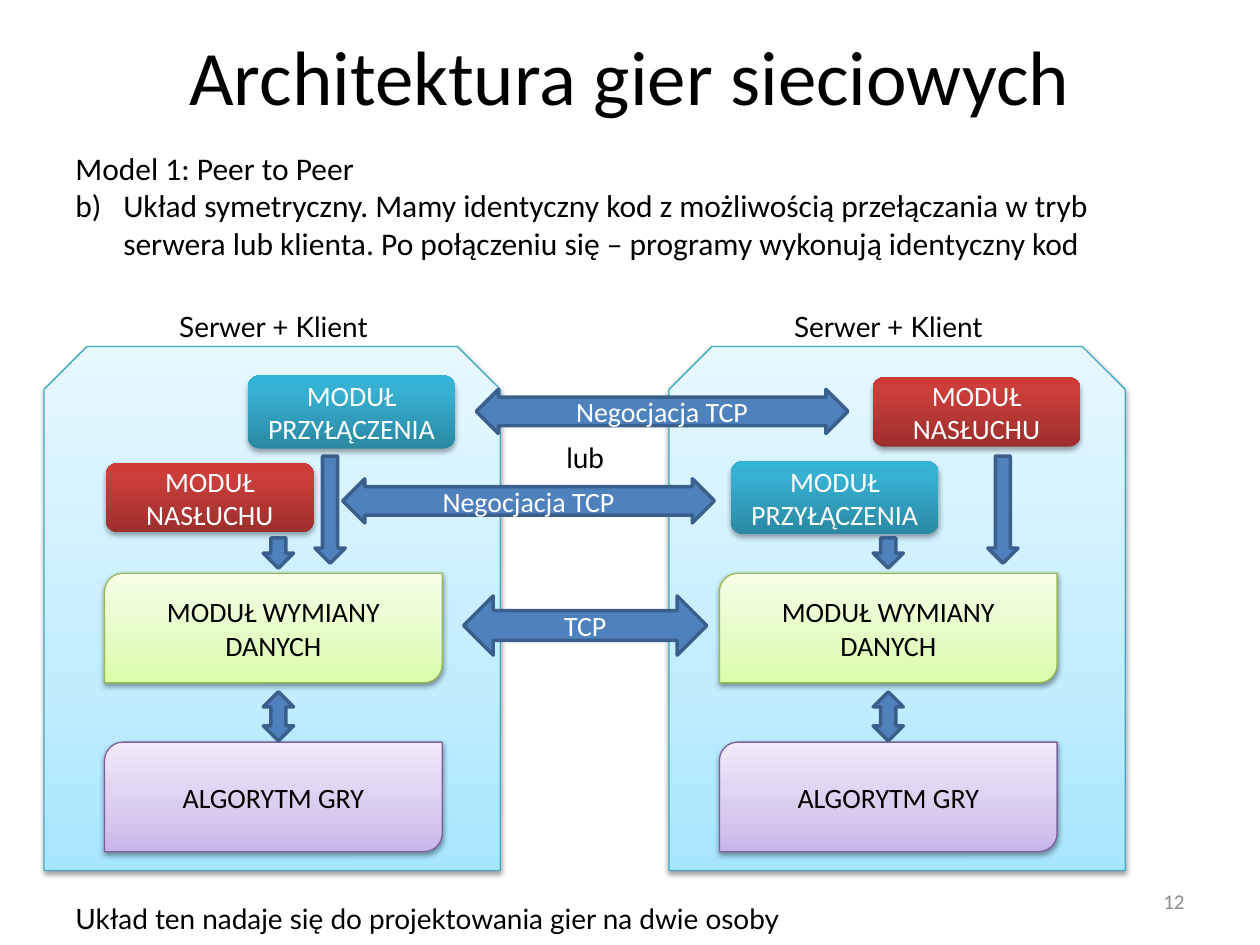
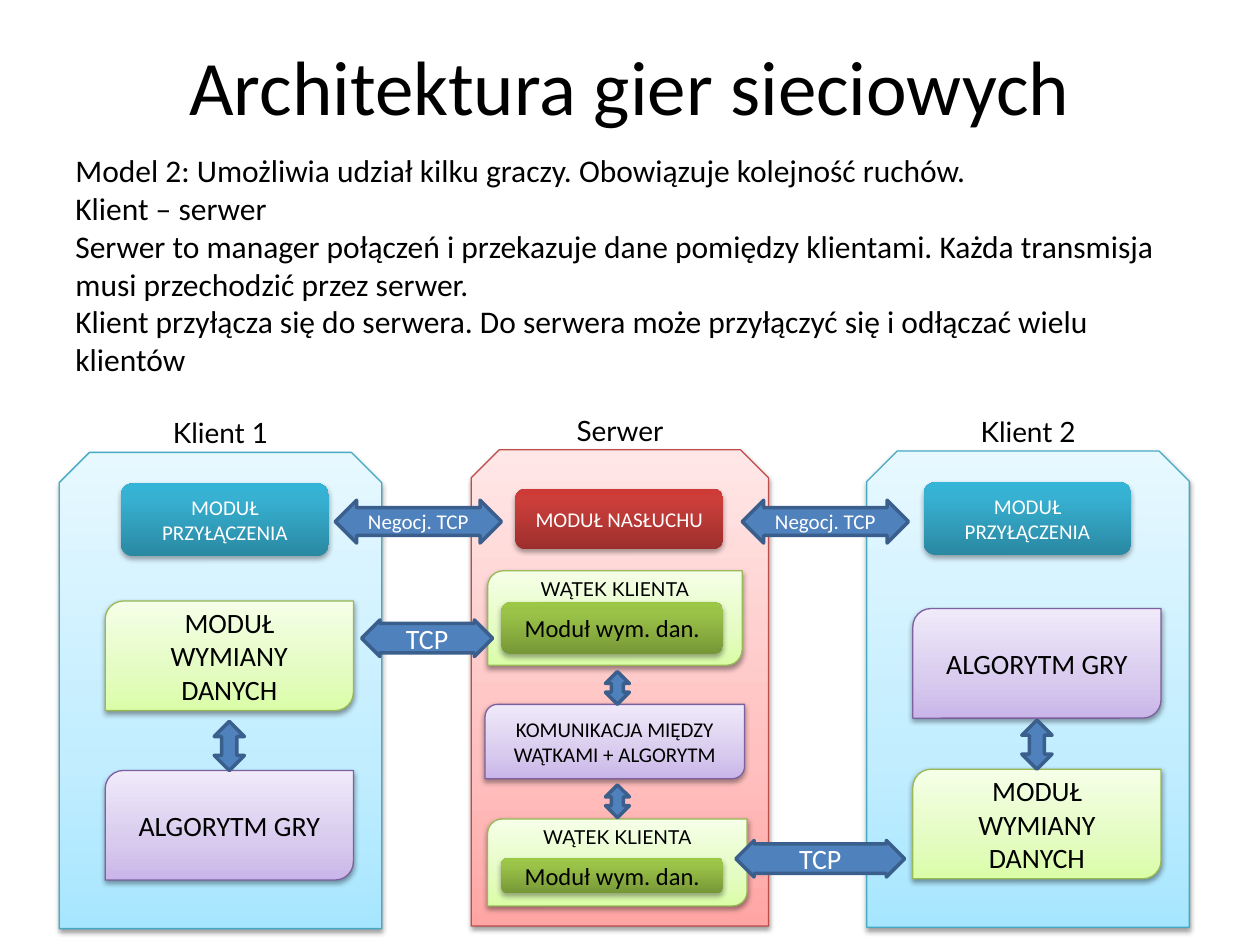
from collections import namedtuple
from dataclasses import dataclass

import pptx
import pptx.util
from lxml import etree
from pptx.dml.color import RGBColor
from pptx.enum.shapes import MSO_SHAPE
from pptx.enum.text import MSO_ANCHOR, PP_ALIGN
from pptx.oxml.ns import qn

# Grid: 100 columns by 75 rows on a 10 x 7.5 inch slide
COLUMNS, ROWS = 100, 75
CELL = pptx.util.Inches(10) // COLUMNS

Skin = namedtuple("Skin", "stops line text shadow")
Shadow = namedtuple("Shadow", "distance alpha")
SOFT = Shadow(1.6, 38)
RAISED = Shadow(1.8, 35)


def pale(low, middle, high, line):
    return Skin([(0, low), (35, middle), (100, high)], line, "000000", SOFT)


def strong(low, middle, high, text="FFFFFF"):
    return Skin([(0, low), (80, middle), (100, high)], None, text, RAISED)


@dataclass(frozen=True)
class Theme:
    heading_font: str = "Calibri"
    caption_font: str = "Lato"
    ink: str = "000000"
    muted: str = "8C8C8C"
    arrow: str = "4F81BD"
    arrow_line: str = "3A5F8C"
    arrow_text: str = "FFFFFF"
    title: int = 44
    body: int = 18
    label: int = 16
    medium: int = 14
    small: int = 12
    tiny: int = 11
    blue: Skin = pale("A7E6FF", "C1EDFF", "E7F8FF", "46AAC5")
    pink: Skin = pale("FFA6A5", "FFC0BF", "FFE7E7", "BF4C48")
    lime: Skin = pale("DAFDA7", "E4FCC2", "F5FFE7", "98B955")
    violet: Skin = pale("C9B5E8", "D8CBEE", "F0EAF9", "7D60A0")
    red: Skin = strong("9C2F2D", "CB3E3A", "CE3B37")
    teal: Skin = strong("2A88A2", "37B1D2", "34B4D6")
    green: Skin = strong("779737", "9BC348", "9DC746", "000000")


THEME = Theme()


@dataclass(frozen=True)
class Box:
    left: float
    top: float
    width: float
    height: float

    def inner(self, left, top, width, height):
        return Box(self.left + left, self.top + top, width, height)

    def emu(self):
        return [round(n * CELL) for n in (self.left, self.top, self.width, self.height)]


# Module name, skin and height in rows
Module = namedtuple("Module", "name skin height")
CONNECT = Module("MODUŁ PRZYŁĄCZENIA", THEME.teal, 5.8)
LISTEN = Module("MODUŁ NASŁUCHU", THEME.red, 5.5)
EXCHANGE = Module("MODUŁ WYMIANY DANYCH", THEME.lime, 8.7)
ALGORITHM = Module("ALGORYTM GRY", THEME.violet, 8.7)
MODULE_WIDTH = 16.5
LINK_WIDTH = 2.4
LABEL_WIDTH, LABEL_HEIGHT = 18.9, 3.4
NEGOTIATION = (0.646, 0.5)
TRANSFER = (0.807, 0.5)


# Text
def write(frame, lines, size, color, font, align=PP_ALIGN.CENTER, anchor=MSO_ANCHOR.MIDDLE):
    frame.word_wrap = True
    frame.vertical_anchor = anchor
    for index, line in enumerate(lines):
        paragraph = frame.paragraphs[0] if index == 0 else frame.add_paragraph()
        paragraph.text = line
        paragraph.alignment = align
        paragraph.font.size = pptx.util.Pt(size)
        paragraph.font.name = font
        paragraph.font.color.rgb = RGBColor.from_string(color)


def text(slide, box, lines, size=THEME.label, color=THEME.ink, font=THEME.caption_font,
         align=PP_ALIGN.CENTER, anchor=MSO_ANCHOR.TOP):
    frame = slide.shapes.add_textbox(*box.emu()).text_frame
    write(frame, lines, size, color, font, align, anchor)
    return frame


def number_paragraph(paragraph, start):
    properties = paragraph._p.get_or_add_pPr()
    indent = pptx.util.Inches(0.38)
    properties.set("marL", str(indent))
    properties.set("indent", str(-indent))
    numbering = etree.Element(qn("a:buAutoNum"), type="alphaLcParenR", startAt=str(start))
    properties.insert(0, numbering)


# Shapes
def add_color(parent, color):
    return etree.SubElement(parent, qn("a:srgbClr"), val=color)


def paint(shape, skin):
    shape.fill.gradient()
    shape.fill.gradient_angle = 90
    properties = shape._element.spPr
    stops = properties.find(".//" + qn("a:gsLst"))
    for stop in list(stops):
        stops.remove(stop)
    for position, color in skin.stops:
        add_color(etree.SubElement(stops, qn("a:gs"), pos=str(position * 1000)), color)
    if skin.line:
        shape.line.color.rgb = RGBColor.from_string(skin.line)
        shape.line.width = pptx.util.Pt(0.75)
    else:
        shape.line.fill.background()
    shape.shadow.inherit = False
    shadow = etree.SubElement(
        properties.find(qn("a:effectLst")), qn("a:outerShdw"),
        blurRad=str(pptx.util.Pt(3.1)), dist=str(pptx.util.Pt(skin.shadow.distance)),
        dir="5400000", rotWithShape="0")
    etree.SubElement(add_color(shadow, "000000"), qn("a:alpha"),
                     val=str(skin.shadow.alpha * 1000))


def block(slide, kind, box, skin, caption=None, size=THEME.label):
    shape = slide.shapes.add_shape(kind, *box.emu())
    paint(shape, skin)
    if caption:
        write(shape.text_frame, [caption], size, skin.text, THEME.heading_font)
    return shape


def rounded(slide, box, skin, caption, size=THEME.label):
    block(slide, MSO_SHAPE.ROUNDED_RECTANGLE, box, skin, caption, size)


def leaf(slide, box, skin, caption=None, size=THEME.label):
    block(slide, MSO_SHAPE.ROUND_2_DIAG_RECTANGLE, box, skin, caption, size)


def arrow(slide, kind, box, caption=None, size=THEME.label, proportions=()):
    shape = slide.shapes.add_shape(kind, *box.emu())
    for index, value in enumerate(proportions):
        shape.adjustments[index] = value
    shape.fill.solid()
    shape.fill.fore_color.rgb = RGBColor.from_string(THEME.arrow)
    shape.line.color.rgb = RGBColor.from_string(THEME.arrow_line)
    shape.line.width = pptx.util.Pt(2)
    shape.shadow.inherit = False
    if caption:
        write(shape.text_frame, [caption], size, THEME.arrow_text, THEME.heading_font)


def down(slide, box):
    arrow(slide, MSO_SHAPE.DOWN_ARROW, box)


def up_down(slide, box):
    arrow(slide, MSO_SHAPE.UP_DOWN_ARROW, box)


def across(slide, box, caption, size=THEME.label, proportions=()):
    arrow(slide, MSO_SHAPE.LEFT_RIGHT_ARROW, box, caption, size, proportions)


# Regions
def header(slide, title_height, body_box, lines):
    text(slide, Box(5, 0.5, 90, title_height), ["Architektura gier sieciowych"],
         THEME.title, font=THEME.heading_font, anchor=MSO_ANCHOR.MIDDLE)
    return text(slide, body_box, lines, THEME.body, font=THEME.heading_font,
                align=PP_ALIGN.LEFT)


def panel(slide, box, skin, name, label_center):
    outline = block(slide, MSO_SHAPE.SNIP_2_SAME_RECTANGLE, box, skin)
    outline.adjustments[0] = 0.094
    text(slide, box.inner(label_center - LABEL_WIDTH / 2, -LABEL_HEIGHT,
                          LABEL_WIDTH, LABEL_HEIGHT), [name])


def peer(slide, box, upper, lower, stack_left, link_left, long_link_left):
    stack_width = 26.8
    panel(slide, box, THEME.blue, "Serwer + Klient", stack_left + stack_width / 2)
    for module, left, middle in ((upper, 16.15, 5.2), (lower, 4.9, 12)):
        place = box.inner(left, middle - module.height / 2, MODULE_WIDTH, module.height)
        rounded(slide, place, module.skin, module.name)
    for module, top in ((EXCHANGE, 18), (ALGORITHM, 31.4)):
        leaf(slide, box.inner(stack_left, top, stack_width, module.height),
             module.skin, module.name)
    down(slide, box.inner(long_link_left, 8.7, LINK_WIDTH, 8.5))
    down(slide, box.inner(link_left, 15.2, LINK_WIDTH, 2.4))
    up_down(slide, box.inner(link_left, 27.4, LINK_WIDTH, 3.9))


def client(slide, box, name, connect_left, upper, lower, upper_top):
    stack_left, stack_width, lower_top, link_height = 3.65, 19.7, 25.25, 3.9
    panel(slide, box, THEME.blue, name, box.width / 2)
    rounded(slide, box.inner(connect_left, 2.45, MODULE_WIDTH, CONNECT.height),
            CONNECT.skin, CONNECT.name, THEME.small)
    for module, top in ((upper, upper_top), (lower, lower_top)):
        leaf(slide, box.inner(stack_left, top, stack_width, module.height),
             module.skin, module.name)
    up_down(slide, box.inner(stack_left + (stack_width - LINK_WIDTH) / 2,
                             lower_top - link_height, LINK_WIDTH, link_height))


def client_thread(slide, box, exchange_top, exchange_height):
    leaf(slide, box, THEME.lime)
    text(slide, box.inner(0, 0, box.width, 1.9), ["WĄTEK KLIENTA"], THEME.tiny)
    rounded(slide, box.inner(1.1, exchange_top, 17.6, exchange_height), THEME.green,
            "Moduł wym. dan.", THEME.medium)


def server(slide, box):
    panel(slide, box, THEME.pink, "Serwer", box.width / 2)
    rounded(slide, box.inner(3.5, 3.1, MODULE_WIDTH, 4.8), LISTEN.skin, LISTEN.name,
            THEME.small)
    client_thread(slide, box.inner(1.3, 9.6, 20.2, 7.5), 2.5, 4.1)
    leaf(slide, box.inner(1.1, 20.2, 20.6, 5.9), THEME.violet,
         "KOMUNIKACJA MIĘDZY WĄTKAMI + ALGORYTM", THEME.small)
    client_thread(slide, box.inner(1.3, 29.3, 20.6, 6.9), 3.1, 2.8)
    for top in (17.6, 26.6):
        up_down(slide, box.inner(10.65, top, 1.9, 2.6))


# Slides
def peer_to_peer_slide(slide):
    intro = header(slide, 10.8, Box(5, 11.3, 89.9, 10.1), [
        "Model 1: Peer to Peer",
        "Układ symetryczny. Mamy identyczny kod z możliwością przełączania w tryb "
        "serwera lub klienta. Po połączeniu się – programy wykonują identyczny kod"])
    number_paragraph(intro.paragraphs[1], 2)

    peer(slide, Box(3.5, 27.5, 36.2, 41.6), CONNECT, LISTEN, 4.8, 17.4, 21.5)
    peer(slide, Box(53.1, 27.5, 36.2, 41.6), LISTEN, CONNECT, 4, 16.2, 25.3)

    # Connections between the peers
    for left, top in ((37.8, 30.9), (27.2, 38)):
        across(slide, Box(left, top, 29.5, 3.5), "Negocjacja TCP", proportions=NEGOTIATION)
    text(slide, Box(39.8, 34.5, 13.3, 3.4), ["lub"])
    across(slide, Box(36.8, 47.3, 19.3, 4.7), "TCP")

    # Closing remark and page number
    text(slide, Box(5, 71.1, 90, 3.4),
         ["Układ ten nadaje się do projektowania gier na dwie osoby"], align=PP_ALIGN.LEFT)
    text(slide, Box(71.7, 69.5, 23.3, 4), ["12"], THEME.small, THEME.muted,
         THEME.heading_font, PP_ALIGN.RIGHT, MSO_ANCHOR.MIDDLE)


def client_server_slide(slide):
    header(slide, 12.5, Box(5, 11.5, 89.9, 19.2), [
        "Model 2: Umożliwia udział kilku graczy. Obowiązuje kolejność ruchów.",
        "Klient – serwer",
        "Serwer to manager połączeń i przekazuje dane pomiędzy klientami. "
        "Każda transmisja musi przechodzić przez serwer.",
        "Klient przyłącza się do serwera. Do serwera może przyłączyć się i odłączać "
        "wielu klientów"])

    server(slide, Box(37.4, 35.7, 23.6, 37.8))
    client(slide, Box(4.7, 35.9, 25.6, 37.8), "Klient 1", 4.9, EXCHANGE, ALGORITHM, 11.8)
    client(slide, Box(68.8, 35.8, 25.6, 37.8), "Klient 2", 4.5, ALGORITHM, EXCHANGE, 12.5)

    # Connections between the clients and the server
    for left in (26.6, 58.9):
        across(slide, Box(left, 39.7, 13.2, 3.4), "Negocj. TCP", THEME.small, NEGOTIATION)
    for left, top, width in ((28.7, 49.2, 10.4), (58.4, 66.7, 13.4)):
        across(slide, Box(left, top, width, 2.9), "TCP", proportions=TRANSFER)


def main():
    deck = pptx.Presentation()
    deck.slide_width = COLUMNS * CELL
    deck.slide_height = ROWS * CELL
    blank = deck.slide_layouts[6]
    for fill_slide in (peer_to_peer_slide, client_server_slide):
        fill_slide(deck.slides.add_slide(blank))
    deck.save("out.pptx")


if __name__ == "__main__":
    main()
